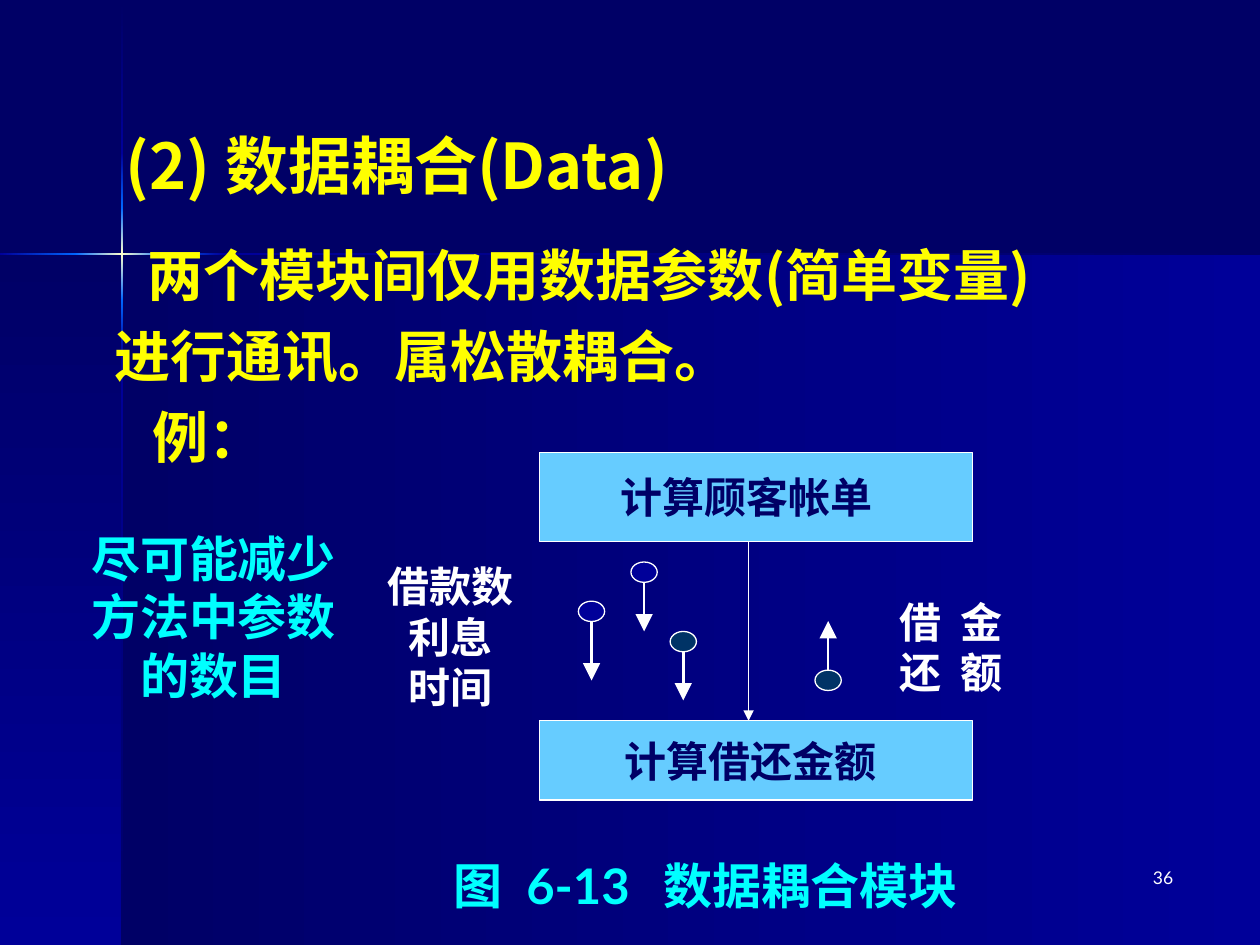
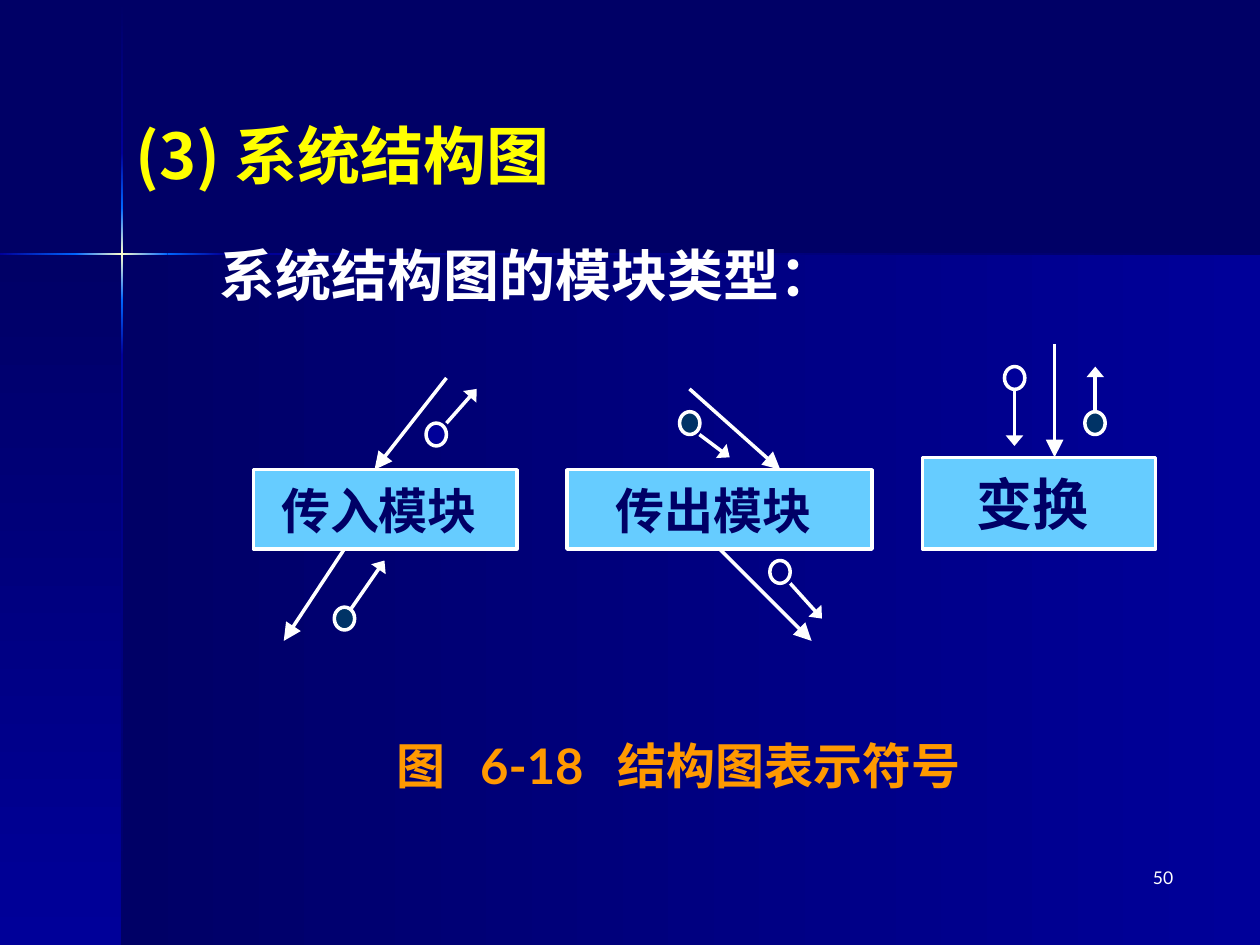
from lxml import etree
from pptx import Presentation
from pptx.dml.color import RGBColor
from pptx.enum.shapes import MSO_CONNECTOR, MSO_SHAPE
from pptx.enum.text import MSO_ANCHOR, PP_ALIGN
from pptx.oxml.ns import qn
from pptx.util import Cm, Pt

RECTANGLE, OVAL = MSO_SHAPE.RECTANGLE, MSO_SHAPE.OVAL
STRAIGHT = MSO_CONNECTOR.STRAIGHT
TOP, MIDDLE = MSO_ANCHOR.TOP, MSO_ANCHOR.MIDDLE
LEFT, CENTER, RIGHT = PP_ALIGN.LEFT, PP_ALIGN.CENTER, PP_ALIGN.RIGHT

NIGHT = RGBColor(0x00, 0x00, 0x66)
BLUE = RGBColor(0x00, 0x00, 0x99)
NAVY = RGBColor(0x00, 0x00, 0x80)
GLOW = RGBColor(0x00, 0x66, 0xFF)
SPARK = RGBColor(0xFF, 0xFF, 0xCC)
SKY = RGBColor(0x66, 0xCC, 0xFF)
TEAL = RGBColor(0x00, 0x33, 0x66)
CYAN = RGBColor(0x00, 0xFF, 0xFF)
YELLOW = RGBColor(0xFF, 0xFF, 0x00)
ORANGE = RGBColor(0xFF, 0x99, 0x00)
WHITE = RGBColor(0xFF, 0xFF, 0xFF)

HEADING_FONT = "Noto Sans CJK SC"
LABEL_FONT = "Lato"

DOWN, LEFTWARD = 270, 180
BACKDROP = [
    (2.46, 5.13, 22.94, 13.92, LEFTWARD, (BLUE, NIGHT)),
    (0, 5.13, 2.46, 13.92, DOWN, (NIGHT, BLUE)),
    (2.44, 0.03, 0.05, 3.05, DOWN, (NIGHT, BLUE)),
    (2.44, 7.16, 0.05, 11.89, DOWN, (BLUE, NIGHT)),
    (4.5, 5.1, 20.9, 0.05, LEFTWARD, (NIGHT, BLUE)),
    (2.44, 6.05, 0.05, 1.11, DOWN, (GLOW, BLUE)),
    (2.44, 3.08, 0.05, 1.11, DOWN, (BLUE, GLOW)),
    (2.44, 4.19, 0.05, 1.86, DOWN, (GLOW, SPARK, GLOW)),
    (0, 5.1, 1.55, 0.05, LEFTWARD, (GLOW, BLUE)),
    (3.38, 5.1, 1.12, 0.05, LEFTWARD, (BLUE, GLOW)),
    (1.52, 5.1, 1.86, 0.05, LEFTWARD, (GLOW, SPARK, GLOW)),
]


def fill_gradient(shape, angle, colors):
    shape.fill.gradient()
    shape.fill.gradient_angle = angle
    stops = shape._element.spPr.find(".//" + qn("a:gsLst"))
    for stop in list(stops):
        stops.remove(stop)
    for index, color in enumerate(colors):
        position = str(100000 * index // (len(colors) - 1))
        stop = etree.SubElement(stops, qn("a:gs"), pos=position)
        etree.SubElement(stop, qn("a:srgbClr"), val=str(color))


def write(frame, lines, size, color, font=LABEL_FONT, align=LEFT, bold=True,
          indents=(), tabs=(), before=0):
    for index, line in enumerate(lines):
        paragraph = frame.paragraphs[0] if index == 0 else frame.add_paragraph()
        paragraph.text = line
        paragraph.alignment = align
        if index and before:
            paragraph.space_before = Pt(before)
        properties = paragraph._p.get_or_add_pPr()
        if indents:
            properties.set("marL", str(Cm(indents[index])))
        if tabs:
            stops = etree.SubElement(properties, qn("a:tabLst"))
            for tab in tabs:
                etree.SubElement(stops, qn("a:tab"), pos=str(Cm(tab)), algn="l")
        paragraph.font.name = font
        paragraph.font.size = Pt(size)
        paragraph.font.bold = bold
        paragraph.font.color.rgb = color
        defaults = properties.find(qn("a:defRPr"))
        defaults.set("lang", "zh-CN")
        etree.SubElement(defaults, qn("a:ea"), typeface=LABEL_FONT)


def add_text(slide, box, lines, size, color, anchor=TOP, **style):
    frame = slide.shapes.add_textbox(*map(Cm, box)).text_frame
    frame.word_wrap = True
    frame.vertical_anchor = anchor
    write(frame, lines, size, color, **style)


def add_filled(slide, kind, box, fill, line_width):
    shape = slide.shapes.add_shape(kind, *map(Cm, box))
    shape.shadow.inherit = False
    shape.fill.solid()
    shape.fill.fore_color.rgb = fill
    shape.line.color.rgb = WHITE
    shape.line.width = Pt(line_width)
    return shape


def add_module(slide, box, name, size, line_width, right_gap):
    frame = add_filled(slide, RECTANGLE, box, SKY, line_width).text_frame
    frame.word_wrap = False
    frame.vertical_anchor = MIDDLE
    frame.margin_right = Cm(0.25 + right_gap)
    write(frame, [name], size, NIGHT, align=CENTER)


def add_arrow(slide, start, end, width, head=("lg", "lg")):
    arrow = slide.shapes.add_connector(STRAIGHT, *map(Cm, (*start, *end)))
    arrow.line.color.rgb = WHITE
    arrow.line.width = Pt(width)
    etree.SubElement(arrow.line._get_or_add_ln(), qn("a:tailEnd"),
                     type="triangle", w=head[0], len=head[1])
    etree.SubElement(arrow._element.spPr, qn("a:effectLst"))


def add_backdrop(slide):
    slide.background.fill.solid()
    slide.background.fill.fore_color.rgb = NIGHT
    for *box, angle, colors in BACKDROP:
        panel = slide.shapes.add_shape(RECTANGLE, *map(Cm, box))
        panel.shadow.inherit = False
        panel.line.fill.background()
        fill_gradient(panel, angle, colors)


def start_slide(presentation, title_box, title, number):
    slide = presentation.slides.add_slide(presentation.slide_layouts[6])
    add_backdrop(slide)
    add_text(slide, title_box, [title], 36, YELLOW, MIDDLE, font=HEADING_FONT)
    add_text(slide, (18.62, 17.35, 5.28, 1.27), [number], 10, WHITE,
             align=RIGHT, bold=False)
    return slide


def draw_data_coupling(slide, left, top):
    def at(x, y):
        return left + x, top + y

    width, token_width, token_height = 8.74, 0.53, 0.41
    add_module(slide, (*at(0, 0), width, 1.8), "计算顾客帐单", 24, 0.75, 0.4)
    add_module(slide, (*at(0, 5.41), width, 1.6), "计算借还金额", 24, 0.75, 0.2)
    add_arrow(slide, at(4.22, 1.8), at(4.22, 5.41), 0.75, ("med", "med"))

    tokens = [(1.85, 2.21, BLUE, 3.61), (2.64, 3.61, TEAL, 5),
              (0.79, 3, BLUE, 4.6), (5.56, 4.39, TEAL, 3.4)]
    for x, y, fill, tip in tokens:
        add_filled(slide, OVAL, (*at(x, y), token_width, token_height), fill, 0.75)
        middle = x + token_width / 2
        tail = y + token_height if tip > y else y
        add_arrow(slide, at(middle, tail), at(middle, tip), 1.5)

    add_text(slide, (*at(-3.89, 2.21), 4.22, 3), ["借款数", "利息", "时间"],
             24, WHITE, MIDDLE, align=CENTER)
    add_text(slide, (*at(7.01, 2.62), 3, 2.59), ["借\t金", "还\t额"],
             24, WHITE, MIDDLE, tabs=[1.24])


def draw_module_types(slide, left, top):
    def at(x, y):
        return left + x, top + y

    modules = [("传入模块", 28, 0, 2.54, 5.31, 1.6),
               ("传出模块", 28, 6.32, 2.54, 6.15, 1.6),
               ("变换", 32, 13.49, 2.29, 4.7, 1.85)]
    for name, size, x, y, width, height in modules:
        add_module(slide, (*at(x, y), width, height), name, size, 2, 0.25)

    calls = [((3.89, 0.69), (2.44, 2.54)), ((1.83, 4.14), (0.61, 5.99)),
             ((8.79, 0.91), (10.62, 2.54)), ((9.4, 4.14), (11.25, 5.99)),
             ((16.15, 0), (16.15, 2.29))]
    for start, end in calls:
        add_arrow(slide, at(*start), at(*end), 2)

    data_flows = [((3.89, 1.6), (4.5, 0.91)), ((1.83, 5.54), (2.64, 4.37)),
                  ((8.99, 1.83), (9.6, 2.29)), ((10.82, 4.83), (11.46, 5.54)),
                  ((15.34, 0.91), (15.34, 2.06)), ((16.97, 1.37), (16.97, 0.46))]
    for start, end in data_flows:
        add_arrow(slide, at(*start), at(*end), 2, ("lg", "med"))

    tokens = [(3.48, 1.6, BLUE), (1.63, 5.31, TEAL), (8.59, 1.37, TEAL),
              (10.41, 4.37, NAVY), (15.14, 0.46, BLUE), (16.76, 1.37, TEAL)]
    for x, y, fill in tokens:
        add_filled(slide, OVAL, (*at(x, y), 0.41, 0.46), fill, 2)


def build_data_coupling_slide(presentation):
    slide = start_slide(presentation, (2.29, 1.32, 20.96, 3.99),
                        "(2) 数据耦合(Data)", "36")
    add_text(slide, (1.3, 4.72, 24.1, 12.22),
             ["两个模块间仅用数据参数(简单变量)", "进行通讯。属松散耦合。", "例："],
             32, YELLOW, font=HEADING_FONT, indents=(1.42, 0.76, 1.52), before=8)
    draw_data_coupling(slide, 10.87, 9.12)
    add_text(slide, (1.5, 10.52, 5.61, 3.81), ["尽可能减少", "方法中参数", "的数目"],
             28, CYAN, font=HEADING_FONT, align=CENTER)
    add_text(slide, (8.89, 17.12, 12.01, 1.45), ["图\t6-13\t数据耦合模块"],
             28, CYAN, tabs=[1.47, 4.24])


def build_module_types_slide(presentation):
    slide = start_slide(presentation, (2.49, 1.12, 21.16, 3.99),
                        "(3) 系统结构图", "50")
    add_text(slide, (2.9, 4.72, 20.96, 14.33), ["系统结构图的模块类型："],
             32, WHITE, font=HEADING_FONT, indents=[1.27])
    draw_module_types(slide, 5.11, 6.93)
    add_text(slide, (7.75, 14.12, 13.5, 2.59), ["图\t6-18\t结构图表示符号"],
             28, ORANGE, MIDDLE, tabs=[1.68, 4.45])


def main():
    presentation = Presentation()
    presentation.slide_width = Cm(25.4)
    presentation.slide_height = Cm(19.05)
    build_data_coupling_slide(presentation)
    build_module_types_slide(presentation)
    presentation.save("out.pptx")


if __name__ == "__main__":
    main()
